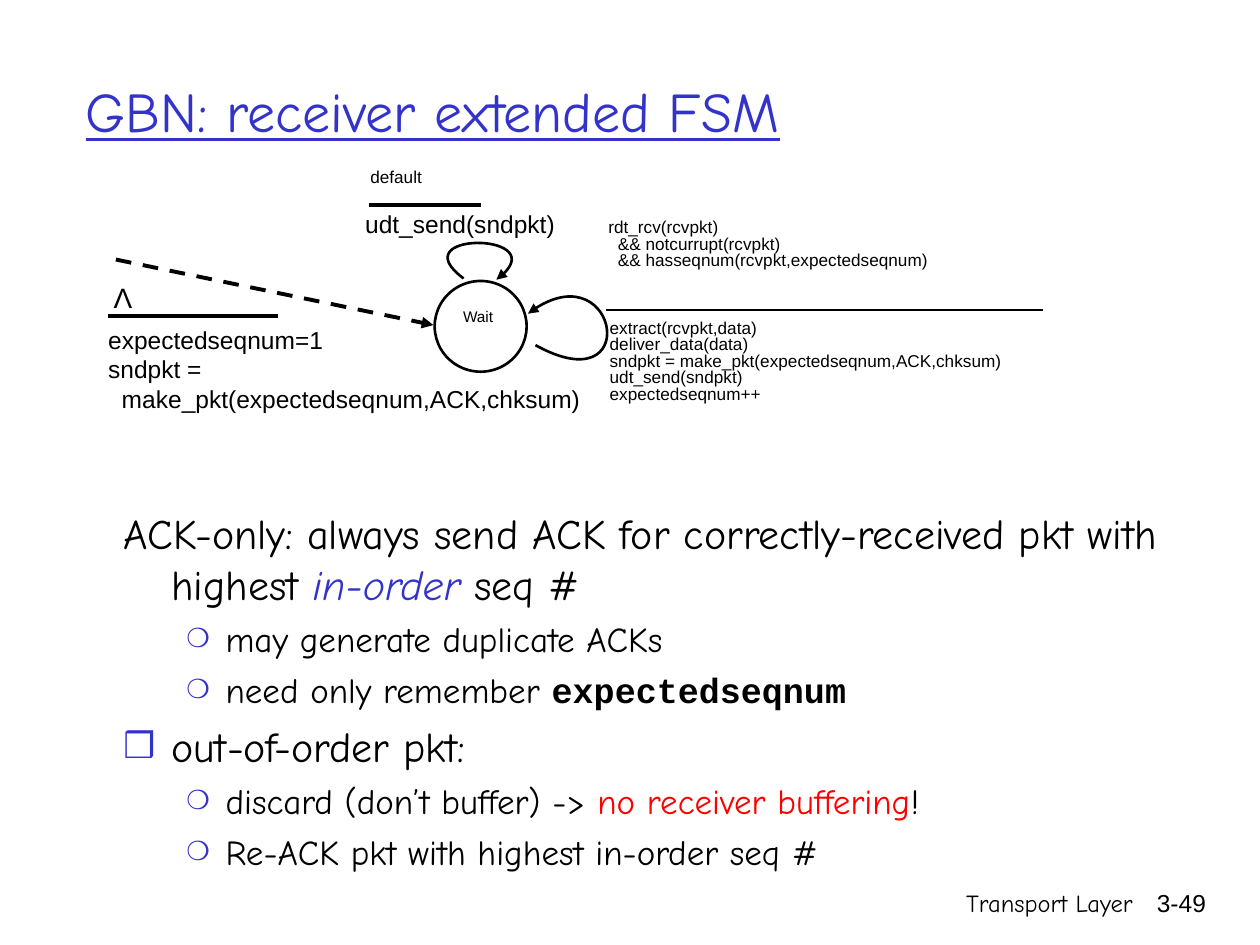
from pptx import Presentation
from pptx.dml.color import RGBColor
from pptx.enum.dml import MSO_LINE
from pptx.enum.shapes import MSO_CONNECTOR, MSO_SHAPE
from pptx.enum.text import MSO_ANCHOR, MSO_AUTO_SIZE, PP_ALIGN
from pptx.oxml.ns import qn
from pptx.util import Inches, Pt
from lxml import etree

STRAIGHT = MSO_CONNECTOR.STRAIGHT
OVAL = MSO_SHAPE.OVAL
DASH = MSO_LINE.DASH
MIDDLE = MSO_ANCHOR.MIDDLE
NO_FIT = MSO_AUTO_SIZE.NONE
LEFT, CENTER, RIGHT = PP_ALIGN.LEFT, PP_ALIGN.CENTER, PP_ALIGN.RIGHT

HAND, SANS, CODE = "Comic Neue", "Arial", "Courier New"
BLACK, WHITE, BLUE, RED = "000000", "FFFFFF", "3333CC", "FF0000"

LEVELS = [
    {"size": 24, "margin": 0.38, "hanging": 0.38, "before": 6, "bullet": "❒", "percent": 85},
    {"size": 20, "margin": 0.81, "hanging": 0.31, "before": 5, "bullet": "❍", "percent": 75},
]

BODY = [
    (0, False, [("ACK-only: always send ACK for correctly-received pkt with highest ", {}),
                ("in-order", {"color": BLUE, "italic": True}), (" seq #", {})]),
    (1, True, [("may generate duplicate ACKs", {})]),
    (1, True, [("need only remember ", {}), ("expectedseqnum", {"name": CODE, "bold": True})]),
    (0, True, [("out-of-order pkt:", {})]),
    (1, True, [("discard (don’t buffer) -> ", {}), ("no receiver buffering", {"color": RED}), ("!", {})]),
    (1, True, [("Re-ACK pkt with highest in-order seq #", {})]),
]


def rgb(color):
    return RGBColor.from_string(color)


def style_font(font, size, name, color=BLACK, bold=False, italic=False):
    font.size = Pt(size)
    font.name = name
    font.bold = bold
    font.italic = italic
    font.color.rgb = rgb(color)


def place(shape, left, top, width, height):
    shape.left, shape.top = Inches(left), Inches(top)
    shape.width, shape.height = Inches(width), Inches(height)


def add_label(slide, left, top, width, height, lines, size, name=SANS,
              spacing=None, align=LEFT, wrap=True):
    box = slide.shapes.add_textbox(Inches(left), Inches(top), Inches(width), Inches(height))
    frame = box.text_frame
    frame.word_wrap = wrap
    frame.text = "\n".join(lines)
    for paragraph in frame.paragraphs:
        paragraph.alignment = align
        paragraph.line_spacing = spacing
        for run in paragraph.runs:
            style_font(run.font, size, name)


def style_line(line, width):
    line.color.rgb = rgb(BLACK)
    line.width = Pt(width)


def add_arrowhead(shape):
    outline = shape.line._get_or_add_ln()
    etree.SubElement(outline, qn("a:tailEnd"), type="triangle")


def add_rule(slide, left, top, right, bottom, width):
    connector = slide.shapes.add_connector(
        STRAIGHT, Inches(left), Inches(top), Inches(right), Inches(bottom))
    style_line(connector.line, width)
    etree.SubElement(connector.element.spPr, qn("a:effectLst"))
    return connector


def add_curved_arrow(slide, left, top, start, *controls):
    points = [(Inches(left + x), Inches(top + y)) for x, y in (start, *controls)]
    builder = slide.shapes.build_freeform(*points[0])
    builder.add_line_segments(points[1:], close=False)
    shape = builder.convert_to_shape()
    segments = list(shape.element.iter(qn("a:lnTo")))
    curve = etree.Element(qn("a:cubicBezTo"))
    segments[0].addprevious(curve)
    for segment in segments:
        curve.append(segment[0])
        segment.getparent().remove(segment)
    shape.shadow.inherit = False
    shape.fill.background()
    style_line(shape.line, 1.5)
    add_arrowhead(shape)


def draw_title(slide, left, top, width, height):
    title = slide.shapes.title
    place(title, left, top, width, height)
    frame = title.text_frame
    frame.text = "GBN: receiver extended FSM"
    frame.vertical_anchor = MIDDLE
    frame.auto_size = NO_FIT
    paragraph = frame.paragraphs[0]
    paragraph.alignment = LEFT
    font = paragraph.runs[0].font
    style_font(font, 32, HAND, BLUE)
    font.underline = True


def set_bullet(paragraph, level, visible):
    properties = paragraph._p.get_or_add_pPr()
    properties.set("marL", str(Inches(level["margin"])))
    properties.set("indent", str(-Inches(level["hanging"])))
    if not visible:
        etree.SubElement(properties, qn("a:buNone"))
        return
    color = etree.SubElement(properties, qn("a:buClr"))
    etree.SubElement(color, qn("a:srgbClr"), val=BLUE)
    etree.SubElement(properties, qn("a:buSzPct"), val=str(level["percent"] * 1000))
    etree.SubElement(properties, qn("a:buChar"), char=level["bullet"])


def draw_body(slide, left, top, width, height):
    body = slide.placeholders[1]
    place(body, left, top, width, height)
    frame = body.text_frame
    frame.auto_size = NO_FIT
    for index, (depth, visible, runs) in enumerate(BODY):
        paragraph = frame.add_paragraph() if index else frame.paragraphs[0]
        level = LEVELS[depth]
        set_bullet(paragraph, level, visible)
        paragraph.level = depth
        paragraph.space_before = Pt(level["before"] if index else 0)
        for text, changes in runs:
            run = paragraph.add_run()
            run.text = text
            style_font(run.font, **{"size": level["size"], "name": HAND, **changes})


def draw_wait_state(slide, left, top, width, height):
    circle = slide.shapes.add_shape(OVAL, Inches(left), Inches(top), Inches(width), Inches(height))
    circle.shadow.inherit = False
    circle.fill.solid()
    circle.fill.fore_color.rgb = rgb(WHITE)
    style_line(circle.line, 1.5)
    add_label(slide, left - 0.09, top + 0.19, 0.87, 0.26, ["Wait"], 8.8, spacing=0.8, align=CENTER)


def draw_initial_transition(slide, left, top):
    arrow = add_rule(slide, left + 0.16, top, left + 2.68, top + 0.52, 2.25)
    arrow.line.dash_style = DASH
    add_arrowhead(arrow)
    add_label(slide, left + 0.04, top + 0.12, 0.35, 0.37, ["Λ"], 16, align=CENTER, wrap=False)
    add_rule(slide, left + 0.1, top + 0.45, left + 1.45, top + 0.45, 2.25)
    add_label(slide, left, top + 0.47, 3.98, 1.07,
              ["expectedseqnum=1", "sndpkt =", "  make_pkt(expectedseqnum,ACK,chksum)"], 14)


def draw_default_transition(slide, left, top):
    add_label(slide, left + 0.04, top, 0.79, 0.27, ["default"], 9.8, spacing=0.8)
    add_rule(slide, left + 0.13, top + 0.33, left + 1.02, top + 0.33, 2.25)
    add_label(slide, left, top + 0.31, 1.77, 0.34, ["udt_send(sndpkt)"], 14)
    add_curved_arrow(slide, left, top, (0.88, 0.91), (0.38, 0.54), (1.65, 0.54), (1.14, 0.92))


def draw_receive_transition(slide, left, top):
    add_curved_arrow(slide, left, top, (-0.48, 1.04), (0.37, 1.51), (0.17, 0.25), (-0.54, 0.79))
    add_label(slide, left, top, 3.9, 0.62,
              ["rdt_rcv(rcvpkt)", "  && notcurrupt(rcvpkt)",
               "  && hasseqnum(rcvpkt,expectedseqnum)"], 9.8, spacing=0.8)
    add_rule(slide, left + 0.08, top + 0.76, left + 3.55, top + 0.76, 1.5)
    add_label(slide, left + 0.01, top + 0.8, 4.72, 0.94,
              ["extract(rcvpkt,data)", "deliver_data(data)",
               "sndpkt = make_pkt(expectedseqnum,ACK,chksum)",
               "udt_send(sndpkt)", "expectedseqnum++"], 9.8, spacing=0.8)


def draw_footer(slide, left, top):
    add_label(slide, left, top, 3.17, 0.5, ["Transport Layer"], 14, HAND, align=RIGHT)
    add_label(slide, left + 3.01, top, 0.74, 0.5, ["3-49"], 14, align=RIGHT)


def main():
    presentation = Presentation()
    presentation.slide_width, presentation.slide_height = Inches(10), Inches(7.5)
    slide = presentation.slides.add_slide(presentation.slide_layouts[1])
    draw_footer(slide, 5.92, 7)
    draw_title(slide, 0.58, 0.25, 8.5, 1.25)
    draw_body(slide, 0.88, 3.98, 8.91, 3.12)
    draw_wait_state(slide, 3.45, 2.23, 0.73, 0.72)
    draw_initial_transition(slide, 0.76, 2.06)
    draw_default_transition(slide, 2.8, 1.3)
    draw_receive_transition(slide, 4.73, 1.7)
    presentation.save("out.pptx")


if __name__ == "__main__":
    main()
